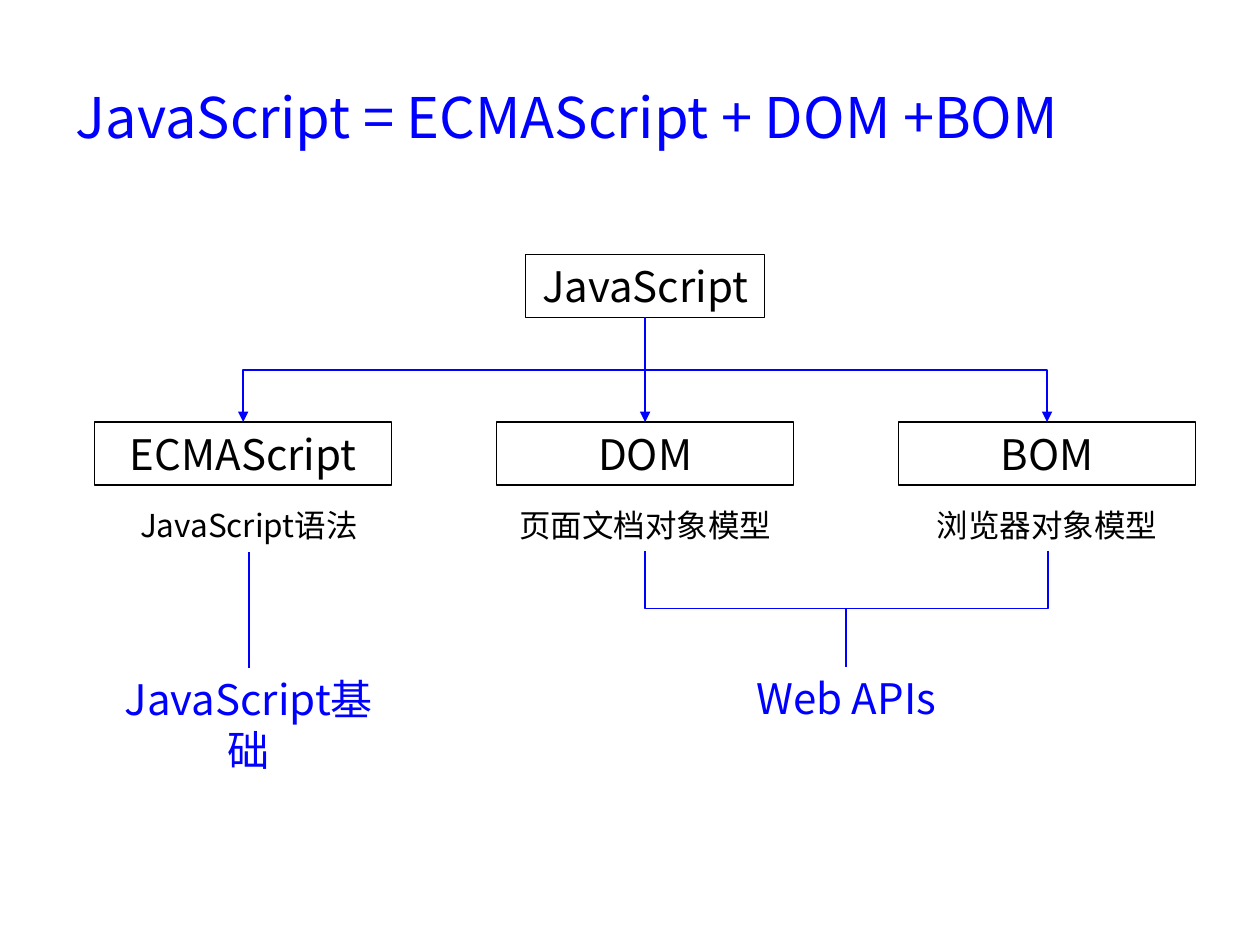
from lxml.etree import SubElement
from pptx import Presentation
from pptx.dml.color import RGBColor
from pptx.enum.shapes import MSO_CONNECTOR, MSO_SHAPE
from pptx.enum.text import MSO_ANCHOR, MSO_AUTO_SIZE, PP_ALIGN
from pptx.oxml.ns import qn
from pptx.util import Inches, Pt

FONT = "Noto Sans CJK SC"
COLORS = {"text": "000000", "accent": "0000FF"}


def rgb(name):
    return RGBColor.from_string(COLORS[name])


def write(tf, text, size=24, color="text", align=PP_ALIGN.CENTER, anchor=MSO_ANCHOR.TOP):
    tf.word_wrap = True
    tf.vertical_anchor = anchor
    p = tf.paragraphs[0]
    p.alignment = align
    r = p.add_run()
    r.text = text
    r.font.name, r.font.size = FONT, Pt(size)
    r.font.color.rgb = rgb(color)
    SubElement(r._r.get_or_add_rPr(), qn("a:ea"), typeface=FONT)


def add_label(s, text, x, y, w, h, **fmt):
    tf = s.shapes.add_textbox(Inches(x), Inches(y), Inches(w), Inches(h)).text_frame
    write(tf, text, **fmt)
    tf.auto_size = MSO_AUTO_SIZE.SHAPE_TO_FIT_TEXT


def add_box(s, text, x, y, w, h):
    sp = s.shapes.add_shape(MSO_SHAPE.RECTANGLE, Inches(x), Inches(y), Inches(w), Inches(h))
    sp.shadow.inherit = False
    sp.fill.background()
    sp.line.color.rgb, sp.line.width = rgb("text"), Pt(0.75)
    write(sp.text_frame, text)


def add_link(s, x1, y1, x2, y2, arrow=False):
    """Link two points; an elbow leaves and arrives vertically."""
    kind, ends = MSO_CONNECTOR.STRAIGHT, (x1, y1, x2, y2)
    dx, dy = x2 - x1, y2 - y1
    if dx:
        # The elbow is laid out on its side, then turned about its centre
        kind, cx, cy = MSO_CONNECTOR.ELBOW, (x1 + x2) / 2, (y1 + y2) / 2
        ends = (cx - dy / 2, cy - abs(dx) / 2, cx + dy / 2, cy + abs(dx) / 2)
    c = s.shapes.add_connector(kind, *[Inches(v) for v in ends])
    if dx:
        xfrm = c._element.spPr.find(qn("a:xfrm"))
        xfrm.set("rot", str((90 if dx < 0 else 270) * 60000))
        if dx > 0:
            xfrm.set("flipH", "1")
    c.line.color.rgb, c.line.width = rgb("accent"), Pt(1)
    if arrow:
        SubElement(c.line._get_or_add_ln(), qn("a:tailEnd"), type="triangle")
    SubElement(c._element.spPr, qn("a:effectLst"))


def add_title(s, text, x, y, w, h):
    sp = s.shapes.title
    sp.left, sp.top, sp.width, sp.height = [Inches(v) for v in (x, y, w, h)]
    write(sp.text_frame, text, size=32, color="accent",
          align=PP_ALIGN.LEFT, anchor=MSO_ANCHOR.MIDDLE)


def add_tree(s, x, y, w, root, parts):
    """Root box over a row of evenly spaced parts, each with a caption."""
    box_w, box_h, root_w, row_y = 2.36, 0.5, 1.9, y + 1.33
    step = (w - box_w) / (len(parts) - 1)
    mid = x + w / 2
    add_box(s, root, mid - root_w / 2, y, root_w, box_h)
    for i, (name, caption, caption_w) in enumerate(parts):
        left = x + i * step
        add_box(s, name, left, row_y, box_w, box_h)
        add_link(s, mid, y + box_h, left + box_w / 2, row_y, arrow=True)
        add_label(s, caption, left, row_y + 0.62, caption_w, 0.4, size=18)


def add_group(s, text, x, y, sources, w=2.45, rise=0.92):
    """Course name joined to the captions above it."""
    for source in sources:
        add_link(s, source, y - rise, x + w / 2, y)
    add_label(s, text, x, y, w, 0.5, color="accent")


prs = Presentation()
prs.slide_width, prs.slide_height = Inches(10), Inches(7.5)
s = prs.slides.add_slide(prs.slide_layouts[5])

add_title(s, "JavaScript = ECMAScript + DOM +BOM", 0.5, 0.3, 9, 1.25)
add_tree(s, 0.75, 2.02, 8.74, "JavaScript", [
    ("ECMAScript", "JavaScript语法", 2.45),
    ("DOM", "页面文档对象模型", 2.36),
    ("BOM", "浏览器对象模型", 2.36),
])
add_group(s, "JavaScript基础", 0.75, 5.3, [0.75 + 2.45 / 2])
add_group(s, "Web APIs", 5.49, 5.29, [5.12, 8.32])

prs.save("out.pptx")
